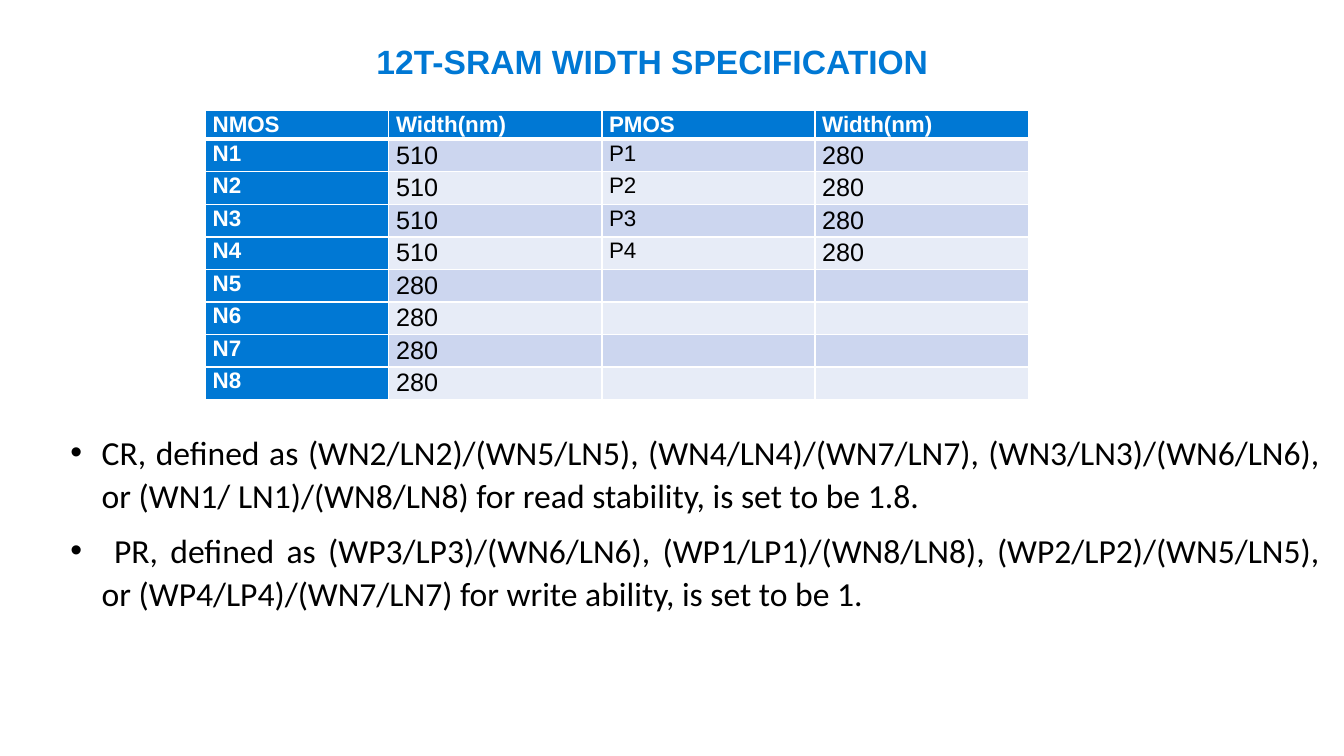
from dataclasses import dataclass

from lxml import etree
from pptx import Presentation
from pptx.dml.color import RGBColor
from pptx.enum.text import MSO_ANCHOR, MSO_AUTO_SIZE, PP_ALIGN
from pptx.oxml.ns import qn
from pptx.util import Cm, Pt

CENTER, JUSTIFY = PP_ALIGN.CENTER, PP_ALIGN.JUSTIFY
TOP, MIDDLE = MSO_ANCHOR.TOP, MSO_ANCHOR.MIDDLE
NO_FIT = MSO_AUTO_SIZE.NONE

TITLE = "12T-SRAM WIDTH SPECIFICATION"
HEADER = ("NMOS", "Width(nm)", "PMOS", "Width(nm)")
TRANSISTORS = [
    ("N1", "510", "P1", "280"),
    ("N2", "510", "P2", "280"),
    ("N3", "510", "P3", "280"),
    ("N4", "510", "P4", "280"),
    ("N5", "280", "", ""),
    ("N6", "280", "", ""),
    ("N7", "280", "", ""),
    ("N8", "280", "", ""),
]
RATIOS = [
    "CR, defined as (WN2/LN2)/(WN5/LN5), (WN4/LN4)/(WN7/LN7), (WN3/LN3)/(WN6/LN6), "
    "or (WN1/ LN1)/(WN8/LN8) for read stability, is set to be 1.8.",
    " PR, defined as (WP3/LP3)/(WN6/LN6), (WP1/LP1)/(WN8/LN8), (WP2/LP2)/(WN5/LN5), "
    "or (WP4/LP4)/(WN7/LN7) for write ability, is set to be 1.",
]


@dataclass(frozen=True)
class Theme:
    accent: str = "0078D4"
    white: str = "FFFFFF"
    black: str = "000000"
    bands: tuple = ("CCD6EF", "E7ECF7")
    heading: str = "Arial"
    body: str = "Calibri"
    large: int = 24
    value: int = 18
    label: int = 16


T = Theme()


def add_run(p, text, font, size, color, bold=False):
    r = p.add_run()
    r.text = text
    r.font.name = font
    r.font.size = Pt(size)
    r.font.bold = bold
    r.font.color.rgb = RGBColor.from_string(color)


def justify(p):
    p.alignment = JUSTIFY
    p.line_spacing = 1.07
    p.space_before = Pt(0)
    p.space_after = Pt(8)


def set_borders(cell, **widths):
    tcPr = cell._tc.get_or_add_tcPr()
    for side in "LRTB":
        ln = etree.SubElement(tcPr, qn("a:ln" + side), w=str(Pt(widths.get(side, 1))))
        fill = etree.SubElement(ln, qn("a:solidFill"))
        etree.SubElement(fill, qn("a:srgbClr"), val=T.white)


def place(sp, left, top, width, height, anchor):
    sp.left, sp.top, sp.width, sp.height = Cm(left), Cm(top), Cm(width), Cm(height)
    tf = sp.text_frame
    tf.word_wrap = True
    tf.auto_size = NO_FIT
    tf.vertical_anchor = anchor
    return tf


def add_width_table(s):
    rows = [HEADER] + TRANSISTORS
    tbl = s.shapes.add_table(len(rows), len(HEADER), Cm(5.18), Cm(2.79), Cm(20.7), Cm(7.24)).table
    for i, col in enumerate(tbl.columns):
        col.width = Cm(5.37 if i else 4.62)
    for i, row in enumerate(tbl.rows):
        row.height = Cm(0.82 if i else 0.72)
    for i, texts in enumerate(rows):
        for j, text in enumerate(texts):
            cell = tbl.cell(i, j)
            strong = i == 0 or j == 0
            cell.margin_left = cell.margin_right = Cm(0.18)
            cell.margin_top = cell.margin_bottom = 0
            set_borders(cell, B=1 if i else 3, T=3 if i == 1 else 1)
            cell.fill.solid()
            fill = T.accent if strong else T.bands[(i - 1) % 2]
            cell.fill.fore_color.rgb = RGBColor.from_string(fill)
            if text:
                p = cell.text_frame.paragraphs[0]
                justify(p)
                size = T.value if i and j % 2 else T.label
                add_run(p, text, T.heading, size, T.white if strong else T.black, strong)


def add_ratios(sp):
    tf = place(sp, 1.52, 10.69, 32, 7.09, TOP)
    for i, text in enumerate(RATIOS):
        p = tf.add_paragraph() if i else tf.paragraphs[0]
        justify(p)
        pPr = p._p.get_or_add_pPr()
        pPr.set("marL", str(Cm(0.79)))
        pPr.set("indent", str(-Cm(0.79)))
        etree.SubElement(pPr, qn("a:buFont"), typeface=T.heading)
        etree.SubElement(pPr, qn("a:buChar"), char="•")
        add_run(p, text, T.body, T.large, T.black)


def main():
    prs = Presentation()
    prs.slide_width, prs.slide_height = Cm(33.87), Cm(19.05)
    s = prs.slides.add_slide(prs.slide_layouts[1])
    p = place(s.shapes.title, 5.66, 0.91, 21.56, 1.27, MIDDLE).paragraphs[0]
    p.alignment = CENTER
    add_run(p, TITLE, T.heading, T.large, T.accent, True)
    add_width_table(s)
    add_ratios(s.placeholders[1])
    prs.save("out.pptx")


if __name__ == "__main__":
    main()
